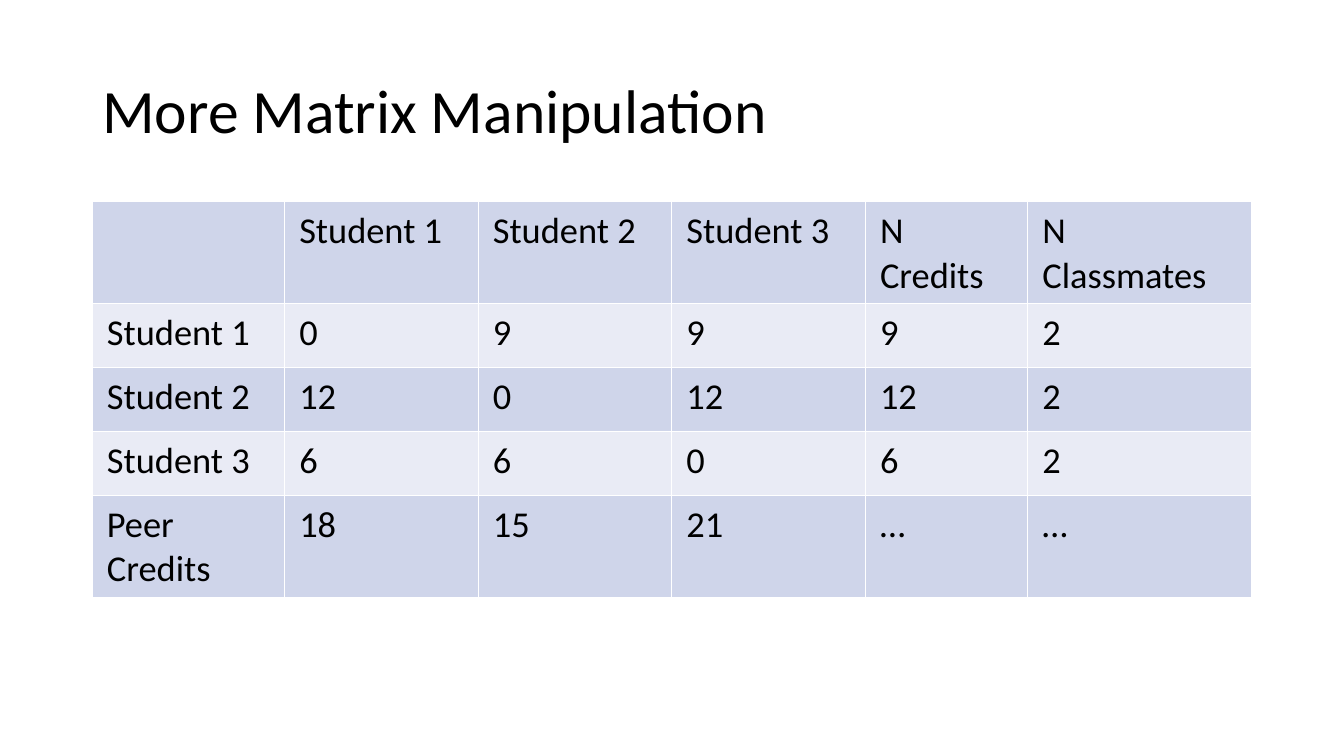
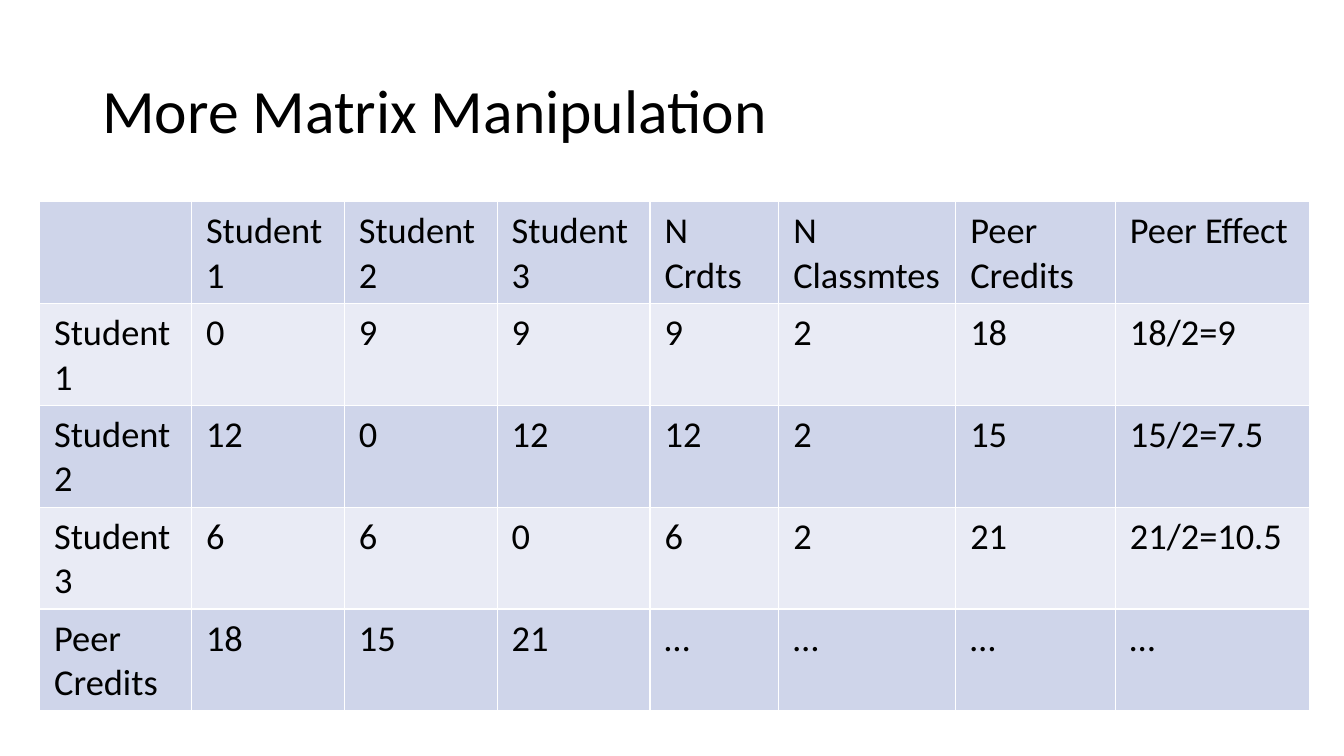
from dataclasses import dataclass

from lxml import etree
from pptx import Presentation
from pptx.dml.color import RGBColor
from pptx.enum.text import MSO_ANCHOR
from pptx.oxml.ns import qn
from pptx.util import Pt

# Content
TITLE = "More Matrix Manipulation"
STUDENTS = ["Student 1", "Student 2", "Student 3"]
CREDIT_ROWS = [
    ["Student 1", "0", "9", "9", "9", "2"],
    ["Student 2", "12", "0", "12", "12", "2"],
    ["Student 3", "6", "6", "0", "6", "2"],
    ["Peer Credits", "18", "15", "21", "…", "…"],
]
PEER_COLUMNS = [
    ["18", "18/2=9"],
    ["15", "15/2=7.5"],
    ["21", "21/2=10.5"],
    ["…", "…"],
]
SLIDES = [
    {
        "left": 66,
        "widths": [137.4, 138.3, 138.3, 138.3, 116, 159.7],
        "rows": [["", *STUDENTS, "N Credits", "N Classmates"], *CREDIT_ROWS],
    },
    {
        "left": 28.3,
        "widths": [108.5, 109.2, 109.2, 109.2, 91.9, 126.5, 114, 138.5],
        "rows": [
            ["", *STUDENTS, "N Crdts", "N Classmtes", "Peer Credits", "Peer Effect"],
            *(credits + peers for credits, peers in zip(CREDIT_ROWS, PEER_COLUMNS)),
        ],
    },
]


# Theme and shared geometry
@dataclass(frozen=True)
class Theme:
    font: str = "Calibri"
    ink: str = "000000"
    rule: str = "FFFFFF"
    bands: tuple = ("CFD5EA", "E9EBF5")
    title_size: float = 44
    cell_size: float = 26
    rule_width: float = 1


THEME = Theme()
SLIDE_SIZE = (960, 540)
TITLE_BOX = (66, 28.75, 828, 104.4)
TABLE_TOP = 144
ROW_HEIGHT = 45.7
CELL_INSET = (10.4, 5.2)


def add_run(paragraph, text, size):
    run = paragraph.add_run()
    run.text = text
    run.font.name = THEME.font
    run.font.size = Pt(size)
    run.font.color.rgb = RGBColor.from_string(THEME.ink)


def add_title(slide):
    frame = slide.shapes.add_textbox(*map(Pt, TITLE_BOX)).text_frame
    frame.word_wrap = True
    frame.vertical_anchor = MSO_ANCHOR.MIDDLE
    heading = frame.paragraphs[0]
    heading.line_spacing = 0.9
    add_run(heading, TITLE, THEME.title_size)


def add_borders(cell):
    properties = cell._tc.get_or_add_tcPr()
    for side in ("a:lnL", "a:lnR", "a:lnT", "a:lnB"):
        line = etree.SubElement(properties, qn(side), w=str(Pt(THEME.rule_width)))
        fill = etree.SubElement(line, qn("a:solidFill"))
        etree.SubElement(fill, qn("a:srgbClr"), val=THEME.rule)


def style_cell(cell, text, band):
    cell.margin_left = cell.margin_right = Pt(CELL_INSET[0])
    cell.margin_top = cell.margin_bottom = Pt(CELL_INSET[1])
    add_borders(cell)
    cell.fill.solid()
    cell.fill.fore_color.rgb = RGBColor.from_string(band)
    if text:
        add_run(cell.text_frame.paragraphs[0], text, THEME.cell_size)


def add_matrix(slide, left, widths, rows):
    matrix = slide.shapes.add_table(
        len(rows), len(widths), Pt(left), Pt(TABLE_TOP),
        Pt(sum(widths)), Pt(ROW_HEIGHT * len(rows)),
    ).table
    matrix.first_row = matrix.horz_banding = False
    for column, width in zip(matrix.columns, widths):
        column.width = Pt(width)
    for r, row in enumerate(rows):
        matrix.rows[r].height = Pt(ROW_HEIGHT)
        for c, text in enumerate(row):
            style_cell(matrix.cell(r, c), text, THEME.bands[r % 2])


# Build the slides
def main():
    deck = Presentation()
    deck.slide_width, deck.slide_height = map(Pt, SLIDE_SIZE)
    for content in SLIDES:
        slide = deck.slides.add_slide(deck.slide_layouts[6])
        add_title(slide)
        add_matrix(slide, **content)
    deck.save("out.pptx")


if __name__ == "__main__":
    main()
